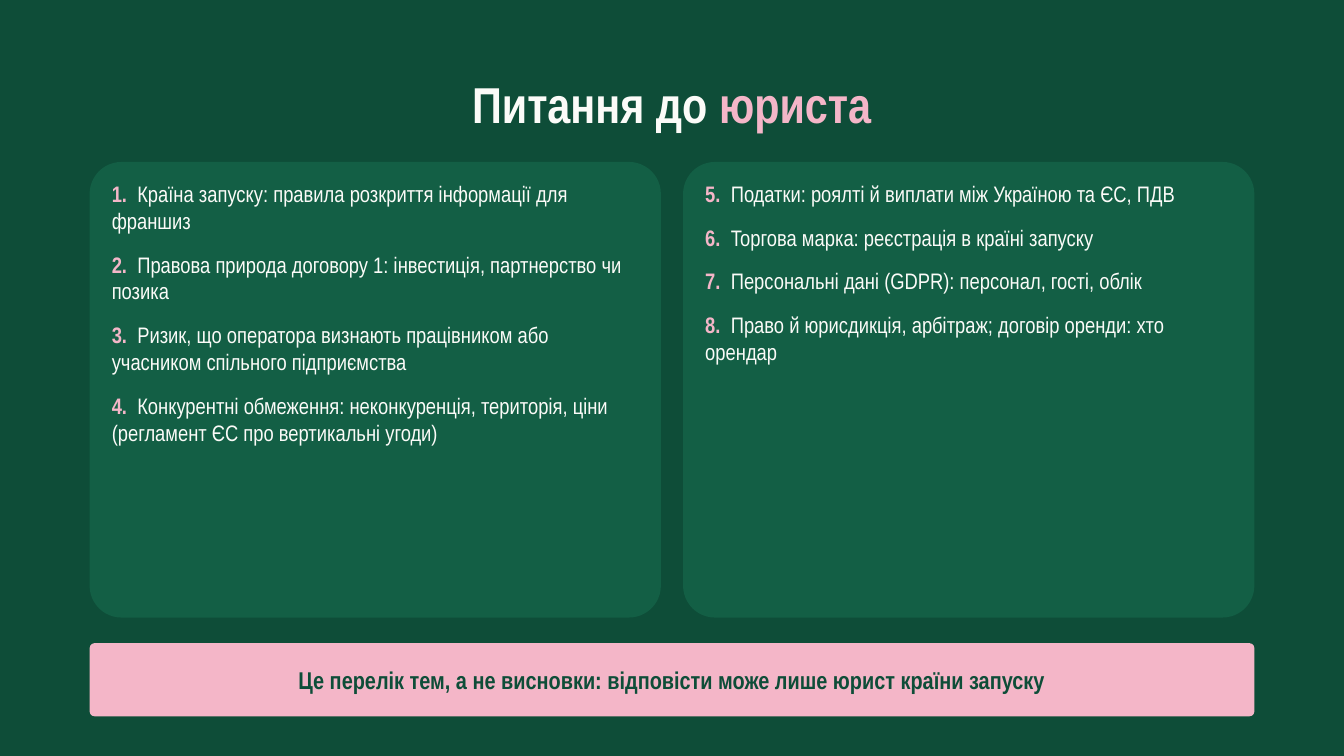
from lxml import etree
from pptx import Presentation
from pptx import util as u
from pptx.dml.color import RGBColor
from pptx.enum import shapes, text
from pptx.oxml.ns import qn

WIDTH, HEIGHT = 20, 11.25
MARGIN = WIDTH / 15
GAP = 0.33
CARD_WIDTH = (WIDTH - 2 * MARGIN - GAP) / 2
CARD_TOP, CARD_HEIGHT = 2.41, 6.78
PAD_X, PAD_Y = 0.33, 0.27
NUMBER_TAB = 0.38
FONT = "Arial Narrow"
COLORS = {"green": "0E4D38", "card": "135F45", "pink": "F4B6C8", "white": "FBFBF8"}

COLUMNS = [
    ["Країна запуску: правила розкриття інформації для франшиз",
     "Правова природа договору 1: інвестиція, партнерство чи позика",
     "Ризик, що оператора визнають працівником або учасником спільного підприємства",
     "Конкурентні обмеження: неконкуренція, територія, ціни "
     "(регламент ЄС про вертикальні угоди)"],
    ["Податки: роялті й виплати між Україною та ЄС, ПДВ",
     "Торгова марка: реєстрація в країні запуску",
     "Персональні дані (GDPR): персонал, гості, облік",
     "Право й юрисдикція, арбітраж; договір оренди: хто орендар"],
]


def color(name):
    return RGBColor.from_string(COLORS[name])


def inches(*lengths):
    return [u.Inches(length) for length in lengths]


def prepare_frame(frame, anchor=text.MSO_ANCHOR.TOP):
    settings = {"margin_left": 0, "margin_right": 0, "margin_top": 0,
                "margin_bottom": 0, "word_wrap": True,
                "auto_size": text.MSO_AUTO_SIZE.NONE, "vertical_anchor": anchor}
    for name, value in settings.items():
        setattr(frame, name, value)


def add_span(para, words, size, tint, bold=True):
    span = para.add_run()
    span.text = words
    for name, value in {"name": FONT, "size": u.Pt(size), "bold": bold}.items():
        setattr(span.font, name, value)
    span.font.color.rgb = color(tint)


def add_tab_stop(para, position):
    tabs = etree.SubElement(para._p.get_or_add_pPr(), qn("a:tabLst"))
    etree.SubElement(tabs, qn("a:tab"), pos=str(u.Inches(position)), algn="l")


def add_panel(page, left, top, width, height, fill):
    panel = page.shapes.add_shape(shapes.MSO_SHAPE.ROUNDED_RECTANGLE,
                                  *inches(left, top, width, height))
    panel.adjustments[0] = 0.07
    panel.shadow.inherit = False
    panel.fill.solid()
    panel.fill.fore_color.rgb = color(fill)
    panel.line.fill.background()
    return panel


def add_title(page):
    title = page.shapes.title
    box = inches(1.07, 1.09, 17.85, 0.98)
    for name, value in zip(("left", "top", "width", "height"), box):
        setattr(title, name, value)
    prepare_frame(title.text_frame)
    para = title.text_frame.paragraphs[0]
    para.alignment = text.PP_ALIGN.CENTER
    para.line_spacing = 1.0
    para.space_before = u.Pt(0)
    add_span(para, "Питання до ", 54, "white")
    add_span(para, "юриста", 54, "pink")


def add_question_card(page, left, questions, first_number):
    add_panel(page, left, CARD_TOP, CARD_WIDTH, CARD_HEIGHT, "card")
    box = page.shapes.add_textbox(*inches(
        left + PAD_X, CARD_TOP + PAD_Y,
        CARD_WIDTH - 2 * PAD_X, CARD_HEIGHT - 2 * PAD_Y))
    frame = box.text_frame
    prepare_frame(frame)
    for index, question in enumerate(questions):
        para = frame.add_paragraph() if index else frame.paragraphs[0]
        add_tab_stop(para, NUMBER_TAB)
        para.space_after = u.Pt(18)
        add_span(para, f"{first_number + index}.\t", 24, "pink")
        add_span(para, question, 24, "white", bold=False)


def add_banner(page, words):
    banner = add_panel(page, MARGIN, 9.57, WIDTH - 2 * MARGIN, 1.09, "pink")
    prepare_frame(banner.text_frame, text.MSO_ANCHOR.MIDDLE)
    para = banner.text_frame.paragraphs[0]
    para.alignment = text.PP_ALIGN.CENTER
    add_span(para, words, 26, "green")


def main():
    deck = Presentation()
    deck.slide_width, deck.slide_height = inches(WIDTH, HEIGHT)
    page = deck.slides.add_slide(deck.slide_layouts[5])
    page.background.fill.solid()
    page.background.fill.fore_color.rgb = color("green")

    # Heading
    add_title(page)

    # Two cards with continuous numbering
    number = 1
    for column, questions in enumerate(COLUMNS):
        left = MARGIN + column * (CARD_WIDTH + GAP)
        add_question_card(page, left, questions, number)
        number += len(questions)

    # Closing note
    add_banner(page, "Це перелік тем, а не висновки: "
                     "відповісти може лише юрист країни запуску")

    deck.save("out.pptx")


if __name__ == "__main__":
    main()
